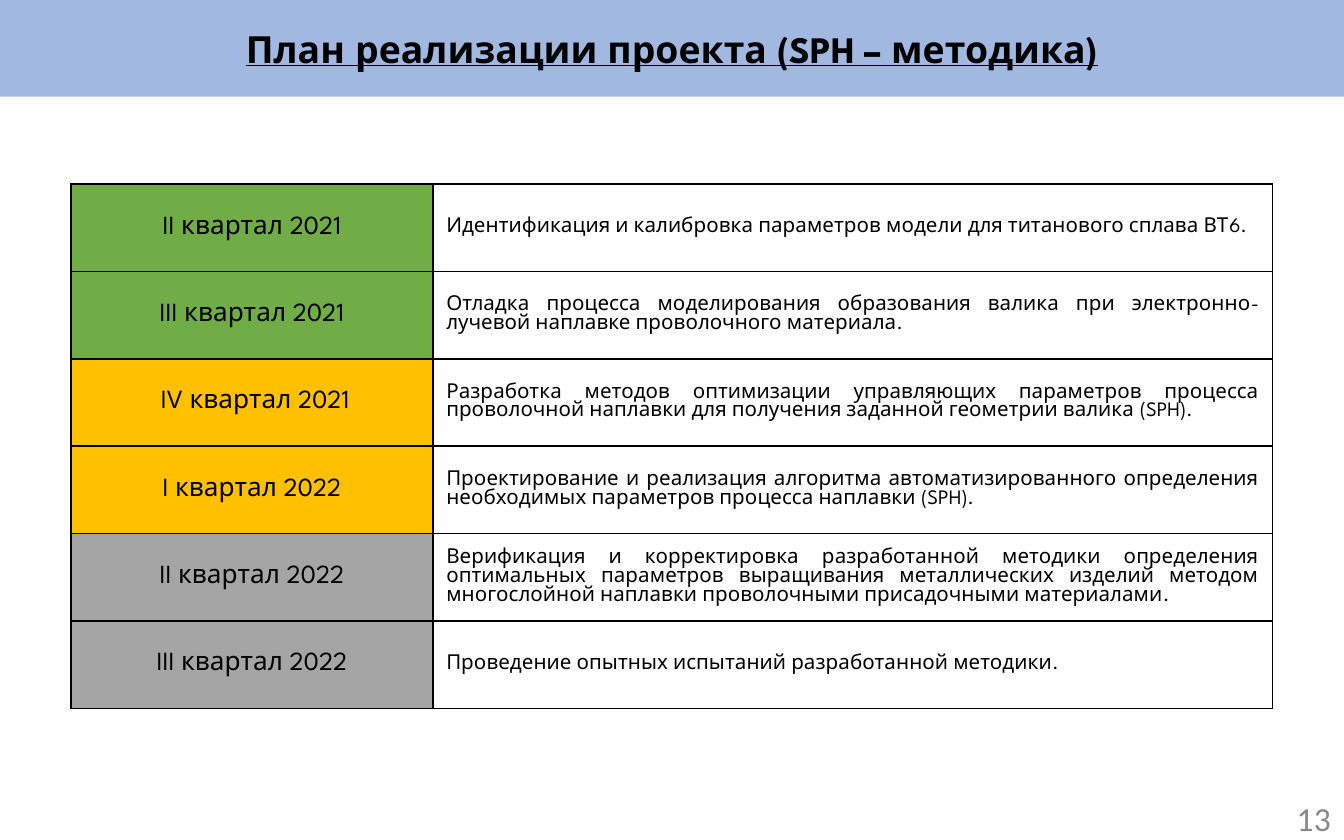
from lxml.etree import SubElement
from pptx import Presentation
from pptx.dml.color import RGBColor
from pptx.enum.shapes import MSO_SHAPE
from pptx.enum.text import MSO_ANCHOR, PP_ALIGN
from pptx.oxml.ns import qn
from pptx.util import Inches, Pt

WIDTH, HEIGHT = Inches(10), Inches(6.25)
BLACK, BLUE, GREY_TEXT = "000000", "4472C4", "898989"
DONE, CURRENT, PLANNED = "70AD47", "FFC000", "A5A5A5"
HEADING_FONT, NUMBER_FONT = "League Spartan", "Calibri"

STAGES = [
    ("II квартал 2021", DONE,
     "Идентификация и калибровка параметров модели для титанового сплава ВТ6."),
    ("III квартал 2021", DONE,
     "Отладка процесса моделирования образования валика при электронно-лучевой "
     "наплавке проволочного материала."),
    (" IV квартал 2021", CURRENT,
     "Разработка методов оптимизации управляющих параметров процесса проволочной "
     "наплавки для получения заданной геометрии валика (SPH)."),
    ("I квартал 2022", CURRENT,
     "Проектирование и реализация алгоритма автоматизированного определения "
     "необходимых параметров процесса наплавки (SPH)."),
    ("II квартал 2022", PLANNED,
     "Верификация и корректировка разработанной методики определения оптимальных "
     "параметров выращивания металлических изделий методом многослойной наплавки "
     "проволочными присадочными материалами."),
    ("III квартал 2022", PLANNED,
     "Проведение опытных испытаний разработанной методики."),
]


def color(value):
    return RGBColor.from_string(value)


def write(frame, text, size, align, font=HEADING_FONT, tint=BLACK):
    """Put one paragraph into a text frame and return its font."""
    frame.word_wrap = True
    para = frame.paragraphs[0]
    para.text = text
    para.alignment = align
    para.font.name = font
    para.font.size = Pt(size)
    para.font.color.rgb = color(tint)
    return para.font


def add_border(cell, width=1):
    properties = cell._tc.get_or_add_tcPr()
    for index, side in enumerate(("lnL", "lnR", "lnT", "lnB")):
        line = properties.makeelement(qn(f"a:{side}"), {"w": str(Pt(width))})
        fill = SubElement(line, qn("a:solidFill"))
        SubElement(fill, qn("a:srgbClr"), val=BLACK)
        properties.insert(index, line)


def add_header(page, left, top, width, height):
    # Half-transparent band
    band = page.shapes.add_shape(MSO_SHAPE.RECTANGLE, left, top, width, height)
    band.shadow.inherit = False
    band.fill.solid()
    band.fill.fore_color.rgb = color(BLUE)
    band.line.fill.background()
    tint = band._element.spPr.find(qn("a:solidFill"))[0]
    SubElement(tint, qn("a:alpha"), val="50000")

    # Title, a fifth of the band below its top
    title = page.shapes.add_textbox(left, top + int(height * 0.2), width, int(height * 0.61))
    font = write(title.text_frame, "План реализации проекта (SPH – методика)",
                 20, PP_ALIGN.CENTER)
    font.bold = True
    font.underline = True


def add_plan(page, left, top, width, height):
    table = page.shapes.add_table(len(STAGES), 2, left, top, width, height).table
    table.first_row = table.horz_banding = False
    table.columns[0].width = int(width * 0.301)
    table.columns[1].width = width - table.columns[0].width

    for row, (quarter, status, task) in enumerate(STAGES):
        period, work = table.cell(row, 0), table.cell(row, 1)
        write(period.text_frame, quarter, 14, PP_ALIGN.CENTER)
        write(work.text_frame, task, 11, PP_ALIGN.JUSTIFY)
        period.fill.solid()
        period.fill.fore_color.rgb = color(status)
        work.fill.background()
        for cell in (period, work):
            cell.vertical_anchor = MSO_ANCHOR.MIDDLE
            add_border(cell)


def add_page_number(page, left, top, width, height):
    box = page.shapes.add_textbox(left, top, width, height)
    box.text_frame.vertical_anchor = MSO_ANCHOR.MIDDLE
    write(box.text_frame, "13", 18, PP_ALIGN.RIGHT, NUMBER_FONT, GREY_TEXT)


def main():
    deck = Presentation()
    deck.slide_width, deck.slide_height = WIDTH, HEIGHT
    page = deck.slides.add_slide(deck.slide_layouts[6])
    add_header(page, 0, 0, WIDTH, Inches(0.72))
    add_plan(page, Inches(0.53), Inches(1.37), Inches(8.94), Inches(3.9))
    add_page_number(page, Inches(7.75), Inches(5.92), Inches(2.25), Inches(0.33))
    deck.save("out.pptx")


if __name__ == "__main__":
    main()
